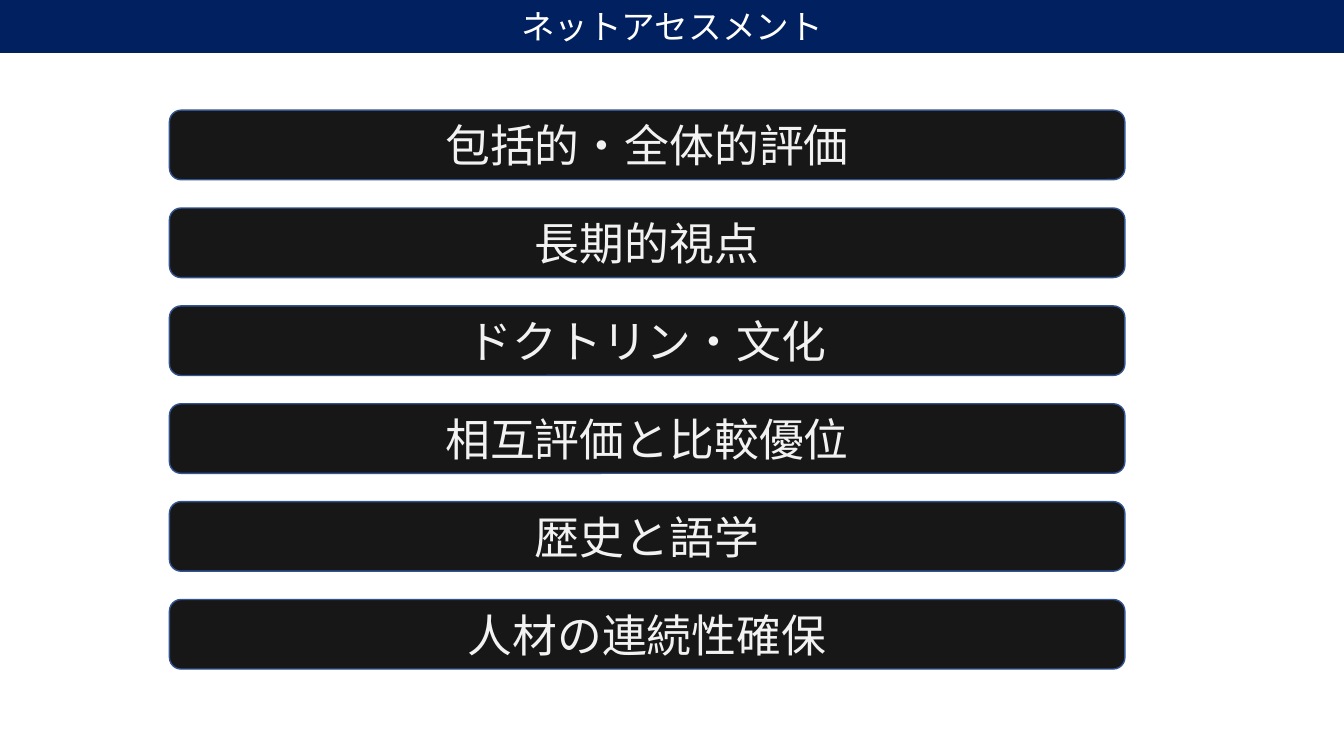
from lxml import etree
from pptx import Presentation
from pptx.dml.color import RGBColor
from pptx.enum.shapes import MSO_SHAPE
from pptx.enum.text import MSO_ANCHOR, MSO_AUTO_SIZE, PP_ALIGN
from pptx.oxml.ns import qn
from pptx.util import Pt

ROUND = MSO_SHAPE.ROUNDED_RECTANGLE
MIDDLE = MSO_ANCHOR.MIDDLE
FIXED = MSO_AUTO_SIZE.NONE
CENTER = PP_ALIGN.CENTER

NAVY = RGBColor(0x00, 0x20, 0x60)
BLACK = RGBColor(0x18, 0x17, 0x17)
BLUE = RGBColor(0x32, 0x54, 0x91)
WHITE = RGBColor(0xFF, 0xFF, 0xFF)
PALE = RGBColor(0xF2, 0xF2, 0xF2)
FONT = "Noto Sans CJK JP"

POINTS = [
    "包括的・全体的評価",
    "長期的視点",
    "ドクトリン・文化",
    "相互評価と比較優位",
    "歴史と語学",
    "人材の連続性確保",
]


def style(shape, text, size, color, fill, edge):
    shape.fill.solid()
    shape.fill.fore_color.rgb = fill
    shape.line.color.rgb = edge
    shape.line.width = Pt(1)
    frame = shape.text_frame
    frame.auto_size = FIXED
    frame.word_wrap = True
    frame.vertical_anchor = MIDDLE
    para = frame.paragraphs[0]
    para.alignment = CENTER
    run = para.add_run()
    run.text = text
    run.font.size = Pt(size)
    run.font.color.rgb = color
    run.font.name = FONT
    asian = etree.SubElement(run.font._element, qn("a:ea"))
    asian.set("typeface", FONT)


deck = Presentation()
deck.slide_width = Pt(960)
deck.slide_height = Pt(540)
slide = deck.slides.add_slide(deck.slide_layouts[5])

title = slide.shapes.title
title.left, title.top = Pt(0), Pt(0)
title.width, title.height = Pt(960), Pt(37.5)
style(title, "ネットアセスメント", 24, WHITE, NAVY, NAVY)

for row, text in enumerate(POINTS):
    top = 78.7 + 69.9 * row
    bar = slide.shapes.add_shape(ROUND, Pt(121), Pt(top), Pt(682.5), Pt(49.7))
    bar.shadow.inherit = False
    style(bar, text, 32, PALE, BLACK, BLUE)

deck.save("out.pptx")
